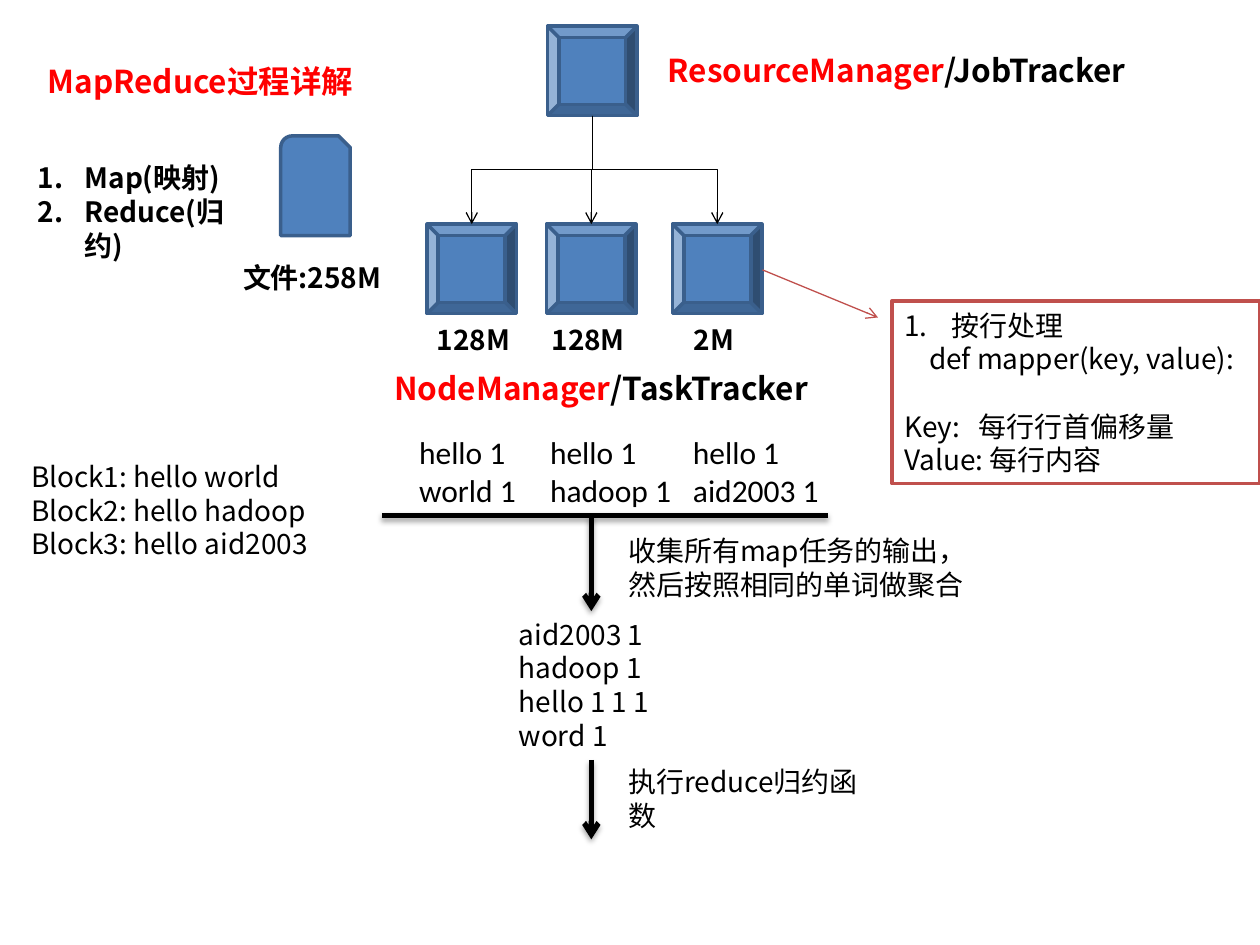
"""Build a slide that explains the MapReduce process."""
from lxml import etree
from pptx import Presentation
from pptx.dml.color import RGBColor
from pptx.enum.shapes import MSO_CONNECTOR, MSO_SHAPE
from pptx.enum.text import MSO_ANCHOR, PP_ALIGN
from pptx.oxml.ns import qn
from pptx.util import Cm, Pt

BEVEL = MSO_SHAPE.BEVEL
DOCUMENT = MSO_SHAPE.SNIP_ROUND_RECTANGLE
RECTANGLE = MSO_SHAPE.RECTANGLE
STRAIGHT = MSO_CONNECTOR.STRAIGHT
ELBOW = MSO_CONNECTOR.ELBOW
LEFT = PP_ALIGN.LEFT
TOP = MSO_ANCHOR.TOP
MIDDLE = MSO_ANCHOR.MIDDLE

BLACK = RGBColor(0x00, 0x00, 0x00)
WHITE = RGBColor(0xFF, 0xFF, 0xFF)
RED = RGBColor(0xFF, 0x00, 0x00)
BLUE = RGBColor(0x4F, 0x81, 0xBD)
DARK_BLUE = RGBColor(0x3A, 0x5F, 0x8C)
BRICK = RGBColor(0xC0, 0x50, 0x4D)
CJK_FONT = "Noto Sans CJK SC"
LATIN_FONT = "Calibri"

NODE_SIZE = 1.8
NODE_TOP = 4.52
ROOT_LEFT, ROOT_TOP = 11.04, 0.53
NODES = [(8.61, "128M", 8.56, 2.16), (11.02, "128M", 10.87, 2.16), (13.56, "2M", 13.74, 1.45)]
NUMBER_INDENT = 0.95
FLOW_X = 11.92


def add_child(parent, tag, **attributes):
    child = etree.SubElement(parent, qn(tag))
    for name, value in attributes.items():
        child.set(name, str(value))
    return child


def add_paragraph_property(paragraph, tag, **attributes):
    properties = paragraph._p.get_or_add_pPr()
    element = add_child(properties, tag, **attributes)
    properties.find(qn("a:defRPr")).addprevious(element)
    return element


def indent(paragraph, margin, first_line=0.0):
    properties = paragraph._p.get_or_add_pPr()
    properties.set("marL", str(Cm(margin)))
    properties.set("indent", str(Cm(first_line)))


def number(paragraph):
    indent(paragraph, NUMBER_INDENT, -NUMBER_INDENT)
    add_paragraph_property(paragraph, "a:buFont", typeface="+mj-lt")
    add_paragraph_property(paragraph, "a:buAutoNum", type="arabicPeriod")


def set_tabs(paragraph, *stops):
    tabs = add_paragraph_property(paragraph, "a:tabLst")
    for stop in stops:
        add_child(tabs, "a:tab", pos=int(Cm(stop)), algn="l")


def write_lines(frame, lines, size=16, bold=False, color=BLACK, font=CJK_FONT):
    for index, line in enumerate(lines):
        paragraph = frame.add_paragraph() if index else frame.paragraphs[0]
        paragraph.add_run().text = line
        paragraph.alignment = LEFT
        paragraph.line_spacing = Pt(size * 1.2)
        paragraph.font.size = Pt(size)
        paragraph.font.bold = bold
        paragraph.font.color.rgb = color
        paragraph.font.name = font
        add_child(paragraph.font._element, "a:ea", typeface=font)
    return frame.paragraphs


def add_text(slide, left, top, width, height, lines, wrap=True, **style):
    frame = slide.shapes.add_textbox(Cm(left), Cm(top), Cm(width), Cm(height)).text_frame
    frame.word_wrap = wrap
    frame.vertical_anchor = TOP
    return write_lines(frame, lines, **style)


def add_role(slide, left, top, manager, tracker):
    paragraph = add_text(slide, left, top, 10.29, 1.02, [manager], size=18, bold=True)[0]
    paragraph.runs[0].font.color.rgb = RED
    paragraph.add_run().text = tracker


def add_box(slide, kind, left, top, width, height, fill=BLUE, outline=DARK_BLUE):
    shape = slide.shapes.add_shape(kind, Cm(left), Cm(top), Cm(width), Cm(height))
    shape.shadow.inherit = False
    shape.fill.solid()
    shape.fill.fore_color.rgb = fill
    shape.line.color.rgb = outline
    shape.line.width = Pt(2)
    return shape


def add_line(slide, start, end, kind=STRAIGHT, color=BLACK, width=0.75, arrow=True, shadow=False):
    connector = slide.shapes.add_connector(kind, *(Cm(value) for value in (*start, *end)))
    connector.line.color.rgb = color
    connector.line.width = Pt(width)
    if arrow:
        add_child(connector.line._get_or_add_ln(), "a:tailEnd", type="arrow")
    effects = add_child(connector._element.spPr, "a:effectLst")
    if shadow:
        outer = add_child(effects, "a:outerShdw", blurRad=int(Pt(3.1)), dist=int(Pt(1.8)),
                          dir=90 * 60000, rotWithShape=0)
        add_child(add_child(outer, "a:srgbClr", val=str(BLACK)), "a:alpha", val=35000)
    return connector


def add_branch(slide, start, end):
    """Draw an elbow arrow that leaves downwards and arrives downwards."""
    center_x, center_y = (start[0] + end[0]) / 2, (start[1] + end[1]) / 2
    half_rise, half_run = (end[1] - start[1]) / 2, abs(end[0] - start[0]) / 2
    side = 1 if end[0] > start[0] else -1
    connector = add_line(
        slide,
        (center_x + side * half_rise, center_y - half_run),
        (center_x - side * half_rise, center_y + half_run),
        kind=ELBOW,
    )
    turn = 270 if side > 0 else 90
    connector._element.spPr.find(qn("a:xfrm")).set("rot", str(turn * 60000))


def add_cluster(slide):
    half = NODE_SIZE / 2
    add_box(slide, BEVEL, ROOT_LEFT, ROOT_TOP, NODE_SIZE, NODE_SIZE)
    root_exit = (ROOT_LEFT + half, ROOT_TOP + NODE_SIZE)
    for left, label, label_left, label_width in NODES:
        add_box(slide, BEVEL, left, NODE_TOP, NODE_SIZE, NODE_SIZE)
        add_branch(slide, root_exit, (left + half, NODE_TOP))
        add_text(slide, label_left, 6.38, label_width, 0.94, [label], wrap=False, bold=True)
    add_role(slide, 13.21, 0.91, "ResourceManager", "/JobTracker")
    add_role(slide, 7.7, 7.32, "NodeManager", "/TaskTracker")


def add_input(slide):
    add_text(slide, 0.71, 1.12, 7.59, 1.02, ["MapReduce过程详解"], size=18, bold=True, color=RED)
    for step in add_text(slide, 0.51, 3.12, 4.57, 1.63, ["Map(映射)", "Reduce(归约)"], bold=True):
        number(step)
    add_box(slide, DOCUMENT, 5.66, 2.74, 1.4, 2.01)
    add_text(slide, 4.65, 5.13, 3.45, 0.94, ["文件:258M"], wrap=False, bold=True)
    blocks = ["Block1: hello world", "Block2: hello hadoop", "Block3: hello aid2003"]
    add_text(slide, 0.38, 9.14, 6.53, 2.31, blocks)


def add_mapper_note(slide):
    add_line(slide, (15.37, 5.44), (17.7, 6.4), color=BRICK)
    note = add_box(slide, RECTANGLE, 17.98, 6.07, 7.42, 3.68, WHITE, BRICK)
    note.text_frame.word_wrap = True
    note.text_frame.vertical_anchor = MIDDLE
    lines = ["按行处理", "def mapper(key, value):", "Key:\t每行行首偏移量", "Value: 每行内容"]
    step, code, key, _ = write_lines(note.text_frame, lines)
    number(step)
    indent(code, 0.5)
    key.space_before = Pt(19.2)
    set_tabs(key, 1.5)


def add_flow(slide):
    rows = ["hello 1\thello 1\thello 1", "world 1\thadoop 1\taid2003 1"]
    for row in add_text(slide, 8.2, 8.61, 10.01, 1.8, rows, size=18, font=LATIN_FONT):
        set_tabs(row, 2.64, 5.52)
    add_line(slide, (7.7, 10.39), (16.69, 10.39), width=3, arrow=False, shadow=True)
    for top, bottom in [(10.39, 12.32), (15.32, 16.92)]:
        add_line(slide, (FLOW_X, top), (FLOW_X, bottom), width=3, shadow=True)
    add_text(slide, 12.42, 10.64, 7.87, 1.63, ["收集所有map任务的输出，", "然后按照相同的单词做聚合"])
    add_text(slide, 10.21, 12.32, 3.94, 3.0, ["aid2003 1", "hadoop 1", "hello 1 1 1", "word 1"])
    add_text(slide, 12.42, 15.29, 5.6, 0.94, ["执行reduce归约函数"])


def main():
    presentation = Presentation()
    presentation.slide_width, presentation.slide_height = Cm(25.4), Cm(19.05)
    slide = presentation.slides.add_slide(presentation.slide_layouts[6])
    add_cluster(slide)
    add_input(slide)
    add_mapper_note(slide)
    add_flow(slide)
    presentation.save("out.pptx")


main()
